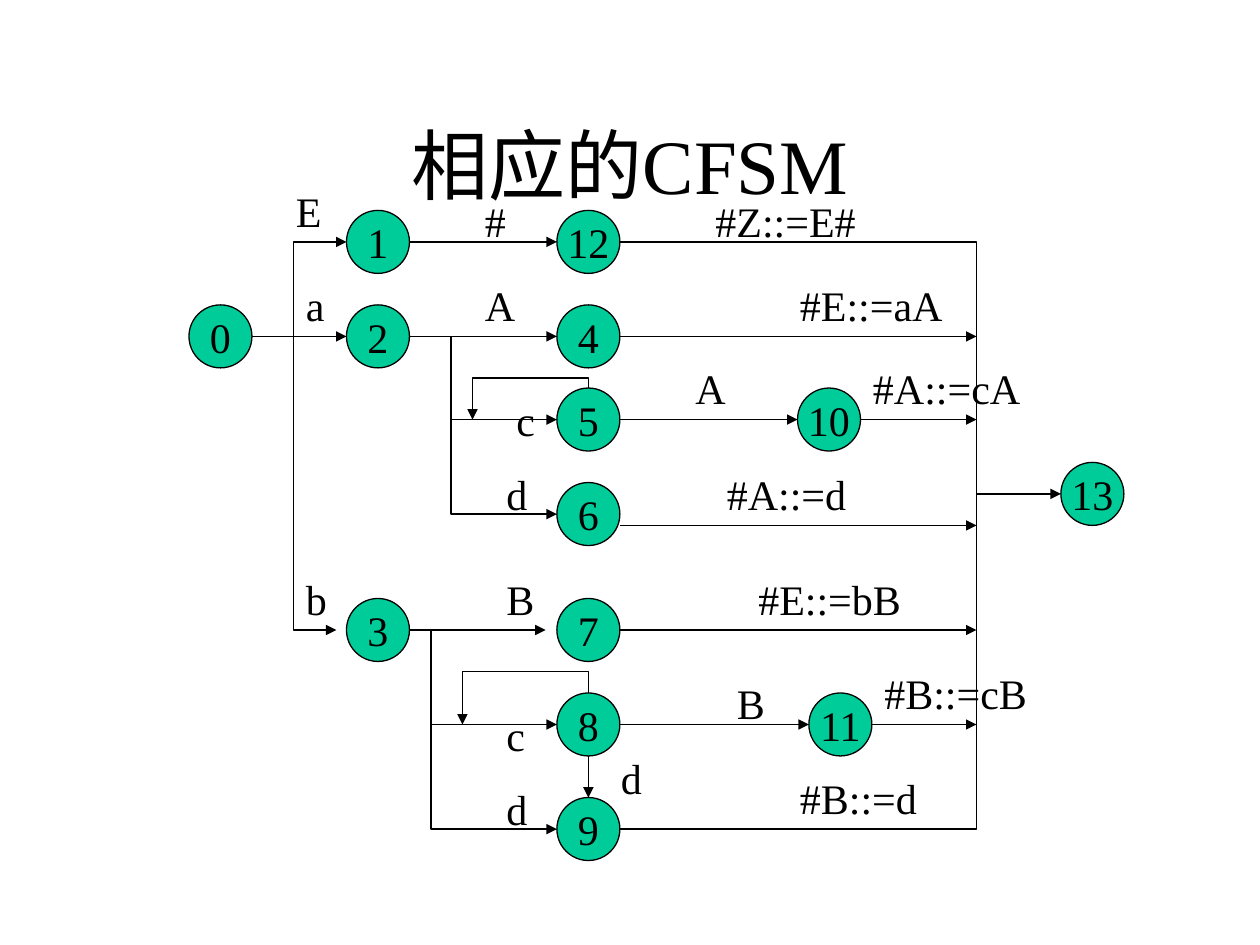
from dataclasses import dataclass

import pptx
import pptx.dml.color
import pptx.enum.shapes
import pptx.enum.text
import pptx.oxml.ns
import pptx.util
from lxml import etree
from pptx.util import Inches


@dataclass(frozen=True)
class Theme:
    font: str = "Times New Roman"
    ink: pptx.dml.color.RGBColor = pptx.dml.color.RGBColor(0, 0, 0)
    state: pptx.dml.color.RGBColor = pptx.dml.color.RGBColor(0x00, 0xCC, 0x99)
    title_size: pptx.util.Pt = pptx.util.Pt(44)
    label_size: pptx.util.Pt = pptx.util.Pt(24)
    line_width: pptx.util.Pt = pptx.util.Pt(0.75)


theme = Theme()
qn = pptx.oxml.ns.qn
PP_ALIGN = pptx.enum.text.PP_ALIGN
ANCHOR = pptx.enum.text.MSO_ANCHOR


def write_text(frame, text, size=theme.label_size, align=PP_ALIGN.LEFT,
               anchor=ANCHOR.TOP, wrap=True, margins=(0.1, 0.05)):
    frame.word_wrap = wrap
    frame.vertical_anchor = anchor
    frame.margin_left = frame.margin_right = Inches(margins[0])
    frame.margin_top = frame.margin_bottom = Inches(margins[1])
    paragraph = frame.paragraphs[0]
    paragraph.alignment = align
    run = paragraph.add_run()
    run.text = text
    run.font.name = theme.font
    run.font.size = size
    run.font.color.rgb = theme.ink


def style_transition(transition, ends=("tailEnd",)):
    """Apply the common line, the arrowheads named in ends, and no shadow."""
    transition.line.color.rgb = theme.ink
    transition.line.width = theme.line_width
    properties = transition._element.spPr
    for end in ends:
        etree.SubElement(properties.find(qn("a:ln")), qn(f"a:{end}"), type="triangle")
    etree.SubElement(properties, qn("a:effectLst"))


presentation = pptx.Presentation()
presentation.slide_width = Inches(10)
presentation.slide_height = Inches(7.5)
slide = presentation.slides.add_slide(presentation.slide_layouts[6])
shapes = slide.shapes

title = shapes.add_textbox(Inches(0.75), Inches(0.67), Inches(8.5), Inches(1.25))
write_text(title.text_frame, "相应的CFSM", size=theme.title_size,
           align=PP_ALIGN.CENTER, anchor=ANCHOR.MIDDLE)

# States: number -> centre
RADIUS = 0.25
BUS = 7.75  # all reductions meet on this vertical line
centres = {
    0: (1.75, 2.67), 1: (3, 1.92), 2: (3, 2.67), 3: (3, 5),
    12: (4.67, 1.92), 4: (4.67, 2.67), 5: (4.67, 3.33), 6: (4.67, 4.08),
    7: (4.67, 5), 8: (4.67, 5.75), 9: (4.67, 6.58),
    10: (6.58, 3.33), 11: (6.67, 5.75), 13: (8.67, 3.92),
}
for number, (x, y) in centres.items():
    state = shapes.add_shape(pptx.enum.shapes.MSO_SHAPE.OVAL,
                             Inches(x - RADIUS), Inches(y - RADIUS),
                             Inches(2 * RADIUS), Inches(2 * RADIUS))
    state.shadow.inherit = False
    state.fill.solid()
    state.fill.fore_color.rgb = theme.state
    state.line.color.rgb = theme.ink
    state.line.width = theme.line_width
    write_text(state.text_frame, str(number), align=PP_ALIGN.CENTER,
               anchor=ANCHOR.MIDDLE, wrap=False, margins=(0, 0))

# Straight transitions: start, end
arrows = [
    ((x1 + RADIUS, y1), (x2 - RADIUS, y2))
    for (x1, y1), (x2, y2) in (
        (centres[source], centres[target])
        for source, target in [(0, 2), (1, 12), (2, 4), (5, 10), (8, 11)]
    )
]
arrows += [((centres[source][0] + RADIUS, y), (BUS, y))
           for source, y in [(4, 2.67), (6, 4.17), (7, 5), (10, 3.33), (11, 5.75)]]
arrows += [
    ((3.25, 5), (4.33, 5)),
    ((3.58, 3.33), (4.42, 3.33)),
    ((3.42, 5.75), (4.42, 5.75)),
    ((4.67, 6), (4.67, 6.33)),
    ((BUS, 3.92), (8.42, 3.92)),
]
for start, end in arrows:
    arrow = shapes.add_connector(pptx.enum.shapes.MSO_CONNECTOR.STRAIGHT,
                                 *map(Inches, start + end))
    style_transition(arrow)

# Bent transitions: corner points, arrowheads
bends = [
    ([(2.75, 1.92), (2.33, 1.92), (2.33, 5), (2.67, 5)], ("headEnd", "tailEnd")),
    ([(3.58, 2.67), (3.58, 4.08), (4.42, 4.08)], ("tailEnd",)),
    ([(4.67, 3.08), (4.67, 3), (3.75, 3), (3.75, 3.33)], ("tailEnd",)),
    ([(3.42, 5), (3.42, 6.58), (4.42, 6.58)], ("tailEnd",)),
    ([(4.67, 5.5), (4.67, 5.33), (3.67, 5.33), (3.67, 5.75)], ("tailEnd",)),
    ([(4.92, 6.58), (BUS, 6.58), (BUS, 1.92), (4.92, 1.92)], ()),
]
for corners, ends in bends:
    points = [(Inches(x), Inches(y)) for x, y in corners]
    outline = shapes.build_freeform(*points[0])
    outline.add_line_segments(points[1:], close=False)
    bend = outline.convert_to_shape()
    bend.fill.background()
    style_transition(bend, ends)

# Transition labels: text, left, top, width
SYMBOL, RULE, SHORT_RULE = 0.42, 2.08, 1.42
labels = [
    ("E", 2.25, 1.42, SYMBOL), ("a", 2.33, 2.17, SYMBOL), ("b", 2.33, 4.5, SYMBOL),
    ("#", 3.75, 1.5, SYMBOL), ("A", 3.75, 2.17, SYMBOL), ("c", 4, 3.08, SYMBOL),
    ("d", 3.92, 3.67, SYMBOL), ("B", 3.92, 4.5, SYMBOL), ("c", 3.92, 5.58, SYMBOL),
    ("d", 3.92, 6.17, SYMBOL), ("B", 5.75, 5.33, SYMBOL), ("d", 4.83, 5.92, SYMBOL),
    ("A", 5.42, 2.83, SYMBOL),
    ("#Z::=E#", 5.58, 1.5, RULE), ("#E::=aA", 6.25, 2.17, RULE),
    ("#A::=d", 5.67, 3.67, RULE), ("#A::=cA", 6.83, 2.83, RULE),
    ("#E::=bB", 5.92, 4.5, RULE),
    ("#B::=cB", 6.92, 5.25, SHORT_RULE), ("#B::=d", 6.25, 6.08, SHORT_RULE),
]
for text, left, top, width in labels:
    label = shapes.add_textbox(Inches(left), Inches(top), Inches(width), Inches(0.5))
    write_text(label.text_frame, text)

presentation.save("out.pptx")
